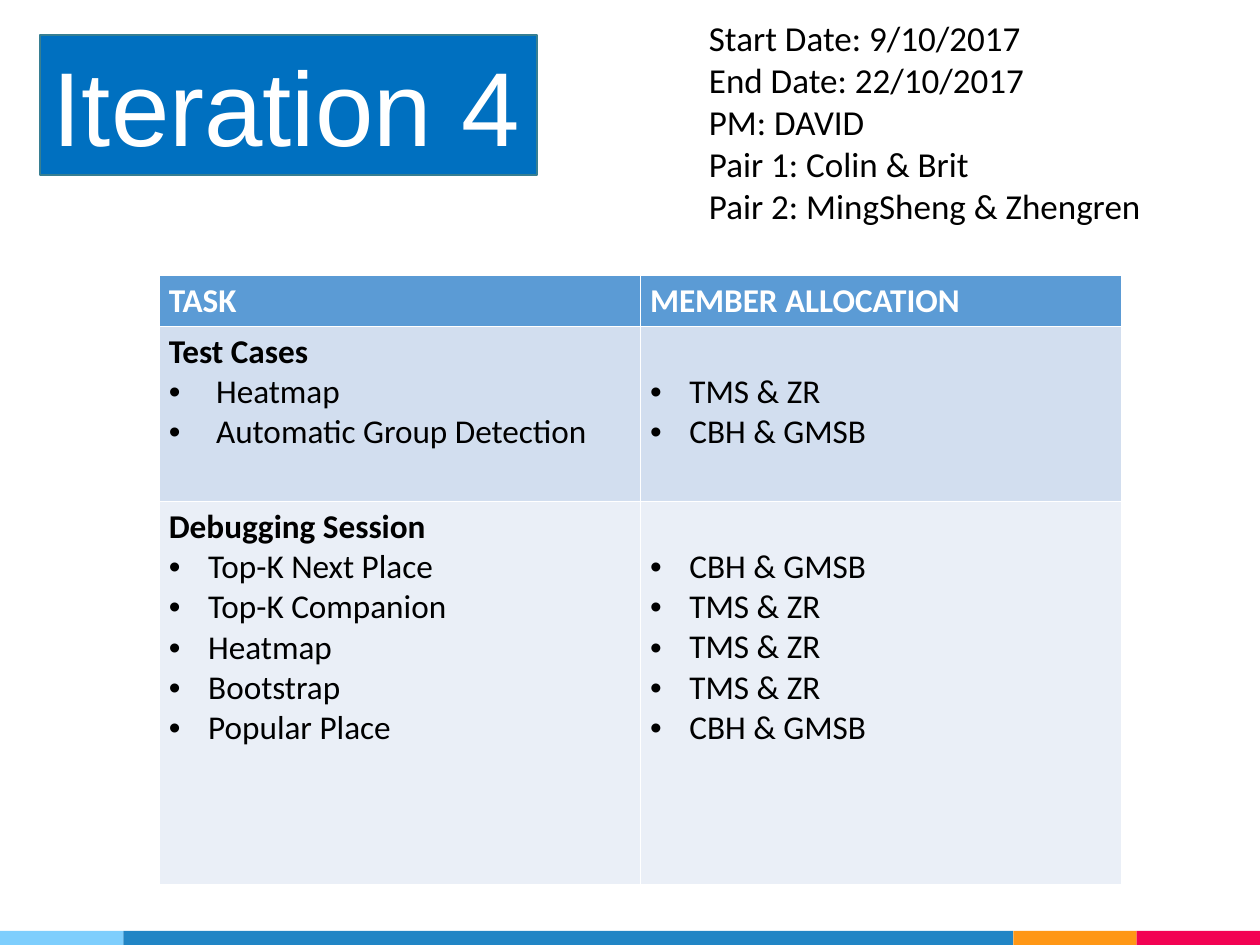
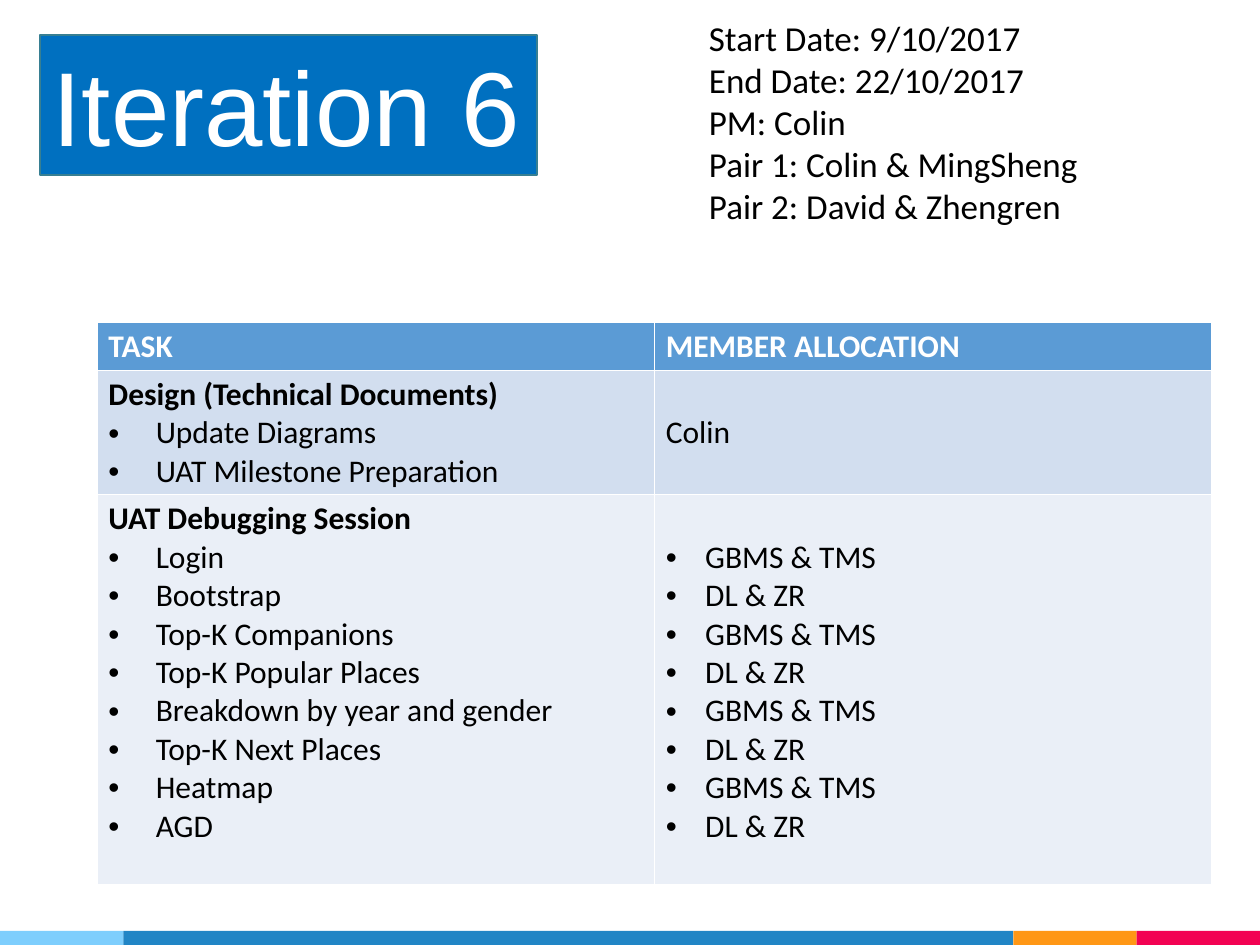
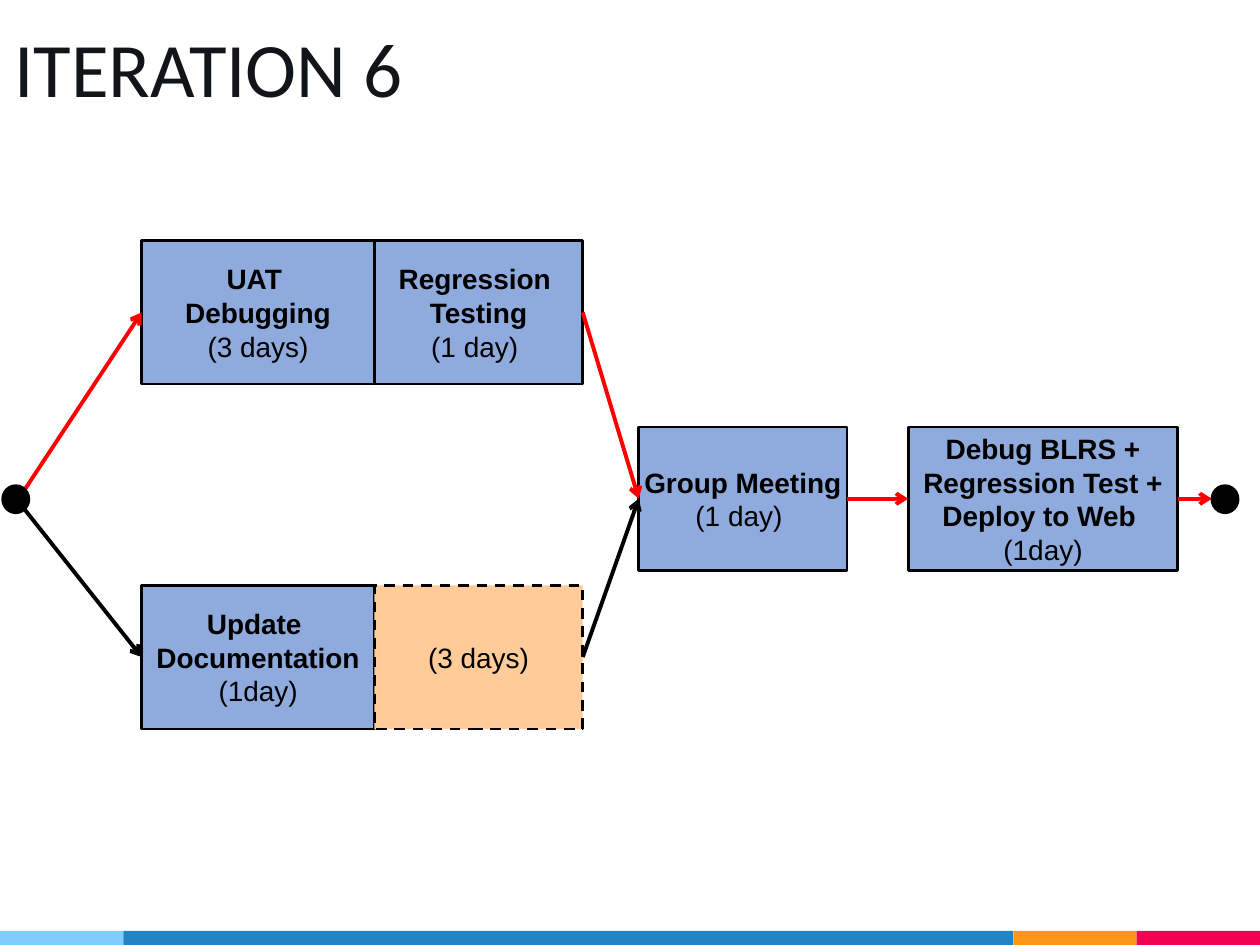
"""Builds three project slides: two iteration task tables and one schedule network."""
from lxml import etree
from pptx import Presentation
from pptx.dml.color import RGBColor
from pptx.enum import dml, shapes, text
from pptx.oxml.ns import qn
from pptx.util import Pt

HUES = {
    "black": "000000", "white": "FFFFFF", "ink": "11151A", "red": "FF0000",
    "title": "0070C0", "edge": "377F92", "head": "5B9BD5", "odd": "D2DEEF",
    "even": "EAEFF7", "task": "8FAADC", "slack": "FFCC99",
    "sky": "7ECEFD", "blue": "2185C5", "orange": "FF9715", "pink": "F20253",
}
RGB = {name: RGBColor.from_string(hue) for name, hue in HUES.items()}
LEFT, MID = text.PP_ALIGN.LEFT, text.PP_ALIGN.CENTER
TOP, CENTER, BASE = text.MSO_ANCHOR.TOP, text.MSO_ANCHOR.MIDDLE, text.MSO_ANCHOR.BOTTOM


def write(frame, lines, size, font="Calibri", hue="black", bold=0, dent=0,
          align=LEFT, space=None):
    """Fill a frame; the first `bold` lines are bold, the rest are bulleted if dent is set."""
    for i, line in enumerate(lines):
        par = frame.paragraphs[0] if i == 0 else frame.add_paragraph()
        par.alignment, par.line_spacing = align, space
        if dent and i >= bold:
            props = par._p.get_or_add_pPr()
            props.set("marL", str(Pt(dent)))
            props.set("indent", str(-Pt(dent)))
            etree.SubElement(props, qn("a:buFont")).set("typeface", "Arial")
            etree.SubElement(props, qn("a:buChar")).set("char", "•")
        run = par.add_run()
        run.text = line
        run.font.name, run.font.size, run.font.bold = font, Pt(size), i < bold
        run.font.color.rgb = RGB[hue]


def draw(slide, kind, x, y, w, h, fill, edge=None, width=1.5):
    """Add a flat preset shape."""
    shape = slide.shapes.add_shape(kind, Pt(x), Pt(y), Pt(w), Pt(h))
    shape.shadow.inherit = False
    shape.fill.solid()
    shape.fill.fore_color.rgb = RGB[fill]
    if edge:
        shape.line.color.rgb, shape.line.width = RGB[edge], Pt(width)
    else:
        shape.line.fill.background()
    return shape


RECT, OVAL = shapes.MSO_SHAPE.RECTANGLE, shapes.MSO_SHAPE.OVAL
deck = Presentation()
deck.slide_width, deck.slide_height = Pt(720), Pt(540)
layout = deck.slide_layouts[5]
slides = [deck.slides.add_slide(layout) for _ in range(3)]

x = 0
for i, (hue, w) in enumerate([("sky", 70.5), ("blue", 508.5), ("orange", 70.5), ("pink", 70.5)]):
    band = draw(slides[0], RECT, x, 532, w, 8, hue)
    band.element.nvSpPr.cNvPr.id = 20 + i
    layout.shapes.element.append(band.element)
    x += w

titles = [
    ("Iteration 4", (23, 20, 284, 80), TOP, dict(size=60, font="Arial", hue="white")),
    ("Iteration 6", (23, 20, 284, 80), TOP, dict(size=60, font="Arial", hue="white")),
    ("ITERATION 6", (1, 1, 544, 68), BASE, dict(size=44, hue="ink", space=0.9)),
]
for slide, (words, place, anchor, style) in zip(slides, titles):
    title = slide.shapes.title
    title.left, title.top, title.width, title.height = map(Pt, place)
    frame = title.text_frame
    frame.auto_size, frame.vertical_anchor = text.MSO_AUTO_SIZE.NONE, anchor
    write(frame, [words], **style)
    if anchor == TOP:
        title.fill.solid()
        title.fill.fore_color.rgb = RGB["title"]
        title.line.color.rgb, title.line.width = RGB["edge"], Pt(1)

plans = [
    dict(
        facts=["PM: DAVID", "Pair 1: Colin & Brit", "Pair 2: MingSheng & Zhengren"],
        at=(91, 157.5), col=275, rows=(29, 100, 219), size=19, step=23, side=5.5,
        tasks=[
            (["Test Cases", "Heatmap", "Automatic Group Detection"], 27,
             ["TMS & ZR", "CBH & GMSB"], 22.5),
            (["Debugging Session", "Top-K Next Place", "Top-K Companion", "Heatmap",
              "Bootstrap", "Popular Place"], 22.5,
             ["CBH & GMSB", "TMS & ZR", "TMS & ZR", "TMS & ZR", "CBH & GMSB"], 22.5),
        ]),
    dict(
        facts=["PM: Colin", "Pair 1: Colin & MingSheng", "Pair 2: David & Zhengren"],
        at=(55.5, 184), col=318.5, rows=(27, 71, 223), size=18, step=22, side=6.5,
        tasks=[
            (["Design (Technical Documents)", "Update Diagrams",
              "UAT Milestone Preparation"], 27, ["Colin"], 0),
            (["UAT Debugging Session", "Login", "Bootstrap", "Top-K Companions",
              "Top-K Popular Places", "Breakdown by year and gender",
              "Top-K Next Places", "Heatmap", "AGD"], 27,
             ["GBMS & TMS", "DL & ZR"] * 4, 22.5),
        ]),
]
for slide, plan in zip(slides, plans):
    note = slide.shapes.add_textbox(Pt(398), Pt(6), Pt(322), Pt(128)).text_frame
    note.word_wrap = True
    write(note, ["Start Date: 9/10/2017", "End Date: 22/10/2017"] + plan["facts"], 20)

    left, top = plan["at"]
    table = slide.shapes.add_table(3, 2, Pt(left), Pt(top), Pt(2 * plan["col"]),
                                   Pt(sum(plan["rows"]))).table
    for col in table.columns:
        col.width = Pt(plan["col"])
    for row, high in zip(table.rows, plan["rows"]):
        row.height = Pt(high)
    grid = [(["TASK"], 0, ["MEMBER ALLOCATION"], 0)] + plan["tasks"]
    for r, (tasks, dent, team, inset) in enumerate(grid):
        for c, (lines, gap) in enumerate([(tasks, dent), (team, inset)]):
            cell = table.cell(r, c)
            cell.fill.solid()
            cell.fill.fore_color.rgb = RGB[("head", "odd", "even")[r]]
            cell.margin_left = cell.margin_right = Pt(plan["side"])
            cell.margin_top = Pt(3 + plan["step"] if r and c else 3)
            cell.margin_bottom = Pt(3)
            write(cell.text_frame, lines, plan["size"], hue="black" if r else "white",
                  bold=0 if r and c else 1, dent=gap)

chart = slides[2]
jobs = {
    "debug": (81, 137.5, 133, ["UAT ", "Debugging", "(3 days)"]),
    "test": (214, 137.5, 119, ["Regression ", "Testing", "(1 day) "]),
    "docs": (81, 334.5, 133, ["Update ", "Documentation", "(1day)"]),
    "slack": (214, 334.5, 119, ["(3 days)"]),
    "meet": (365, 244, 119, ["Group Meeting", "(1 day) "]),
    "ship": (519, 244, 154, ["Debug BLRS +", "Regression Test +", "Deploy to Web ", "(1day)"]),
}
boxes = {}
for name, (x, y, w, lines) in jobs.items():
    box = draw(chart, RECT, x, y, w, 82, "slack" if name == "slack" else "task", "black")
    if name == "slack":
        box.line.dash_style = dml.MSO_LINE.DASH
    frame = box.text_frame
    frame.word_wrap, frame.vertical_anchor = False, CENTER
    frame.margin_left = frame.margin_right = Pt(5.5)
    frame.margin_top = frame.margin_bottom = Pt(3)
    write(frame, lines, 16, font="Arial", bold=len(lines) - 1, align=MID)
    boxes[name] = box

links = [
    ((14, 280), "debug", "red"), ((14, 291), "docs", "black"),
    ("test", "meet", "red"), ("slack", "meet", "black"),
    ("meet", "ship", "red"), ("ship", (692.5, 285), "red"),
]
for start, end, hue in links:
    x1, y1 = (0, 0) if start in boxes else start
    x2, y2 = (0, 0) if end in boxes else end
    link = chart.shapes.add_connector(shapes.MSO_CONNECTOR.STRAIGHT,
                                      Pt(x1), Pt(y1), Pt(x2), Pt(y2))
    if start in boxes:
        link.begin_connect(boxes[start], 3)
    if end in boxes:
        link.end_connect(boxes[end], 1)
    link.line.color.rgb, link.line.width = RGB[hue], Pt(2.25)
    props = link.element.spPr
    etree.SubElement(props.find(qn("a:ln")), qn("a:tailEnd")).set("type", "arrow")
    etree.SubElement(props, qn("a:effectLst"))

for x in (1.5, 692.5):
    draw(chart, OVAL, x, 277.5, 15, 15.5, "black", "black")

deck.save("out.pptx")
